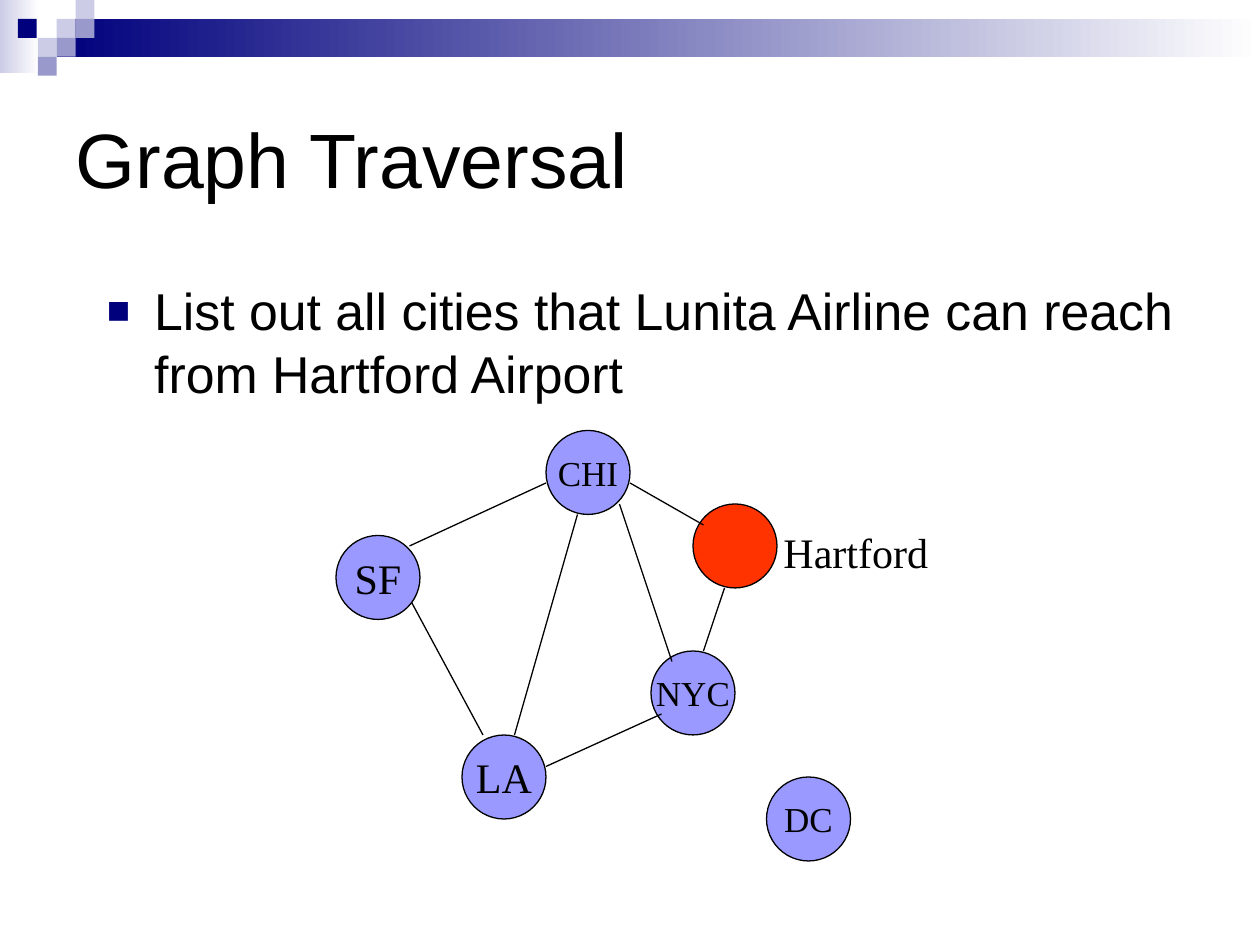
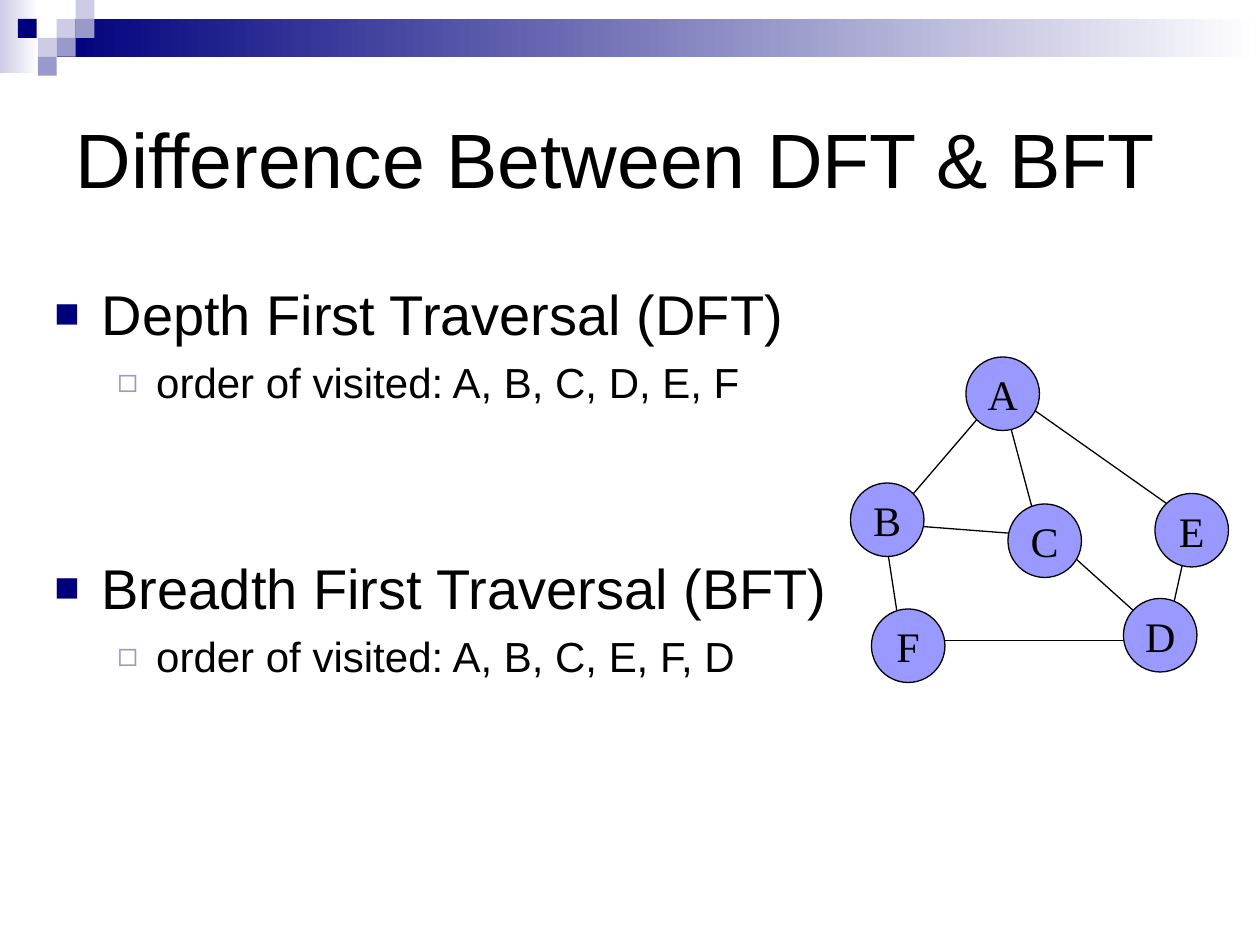
from dataclasses import dataclass

from lxml.etree import SubElement
from pptx import Presentation
from pptx.dml.color import RGBColor
from pptx.enum.shapes import MSO_CONNECTOR as Connector, MSO_SHAPE as Shape
from pptx.enum.text import MSO_ANCHOR as Anchor, MSO_AUTO_SIZE as AutoSize, PP_ALIGN as Align
from pptx.oxml.ns import qn
from pptx.util import Pt

PX = 7620


@dataclass(frozen=True)
class Theme:
    """Colours, fonts and type sizes shared by the slides."""

    ink: str = "000000"
    paper: str = "FFFFFF"
    navy: str = "00007D"
    slate: str = "9999CC"
    mist: str = "CCCCE6"
    node: str = "9999FF"
    start: str = "FF3300"
    sans: str = "Arial"
    serif: str = "Times New Roman"
    title: float = 44
    heading: float = 32
    statement: float = 29.6
    label: float = 24
    small_label: float = 20
    line: float = 0.75


@dataclass(frozen=True)
class Bullet:
    """Marker and indent of one outline level."""

    mark: str
    color: str
    percent: int
    margin: int
    hanging: int


THEME = Theme()
BULLETS = (
    Bullet("■", THEME.navy, 75, 45, 45),
    Bullet("◻", THEME.slate, 80, 97, 37),
)
BAND_SQUARES = (
    (54, 18, THEME.mist),
    (72, 0, THEME.mist),
    (72, 18, THEME.slate),
    (36, 36, THEME.mist),
    (17, 18, THEME.navy),
    (54, 36, THEME.slate),
    (36, 54, THEME.slate),
)


def emu(*lengths):
    """Turn px lengths into EMU."""
    return [length * PX for length in lengths]


def rgb(color):
    """Turn a hex string into a colour."""
    return RGBColor.from_string(color)


class Deck:
    """Draws styled elements on the current slide."""

    def __init__(self, theme):
        """Start an empty 4:3 presentation."""
        self.theme = theme
        self.presentation = Presentation()
        self.presentation.slide_width, self.presentation.slide_height = emu(1200, 900)
        self.slide = None

    def add_slide(self, title):
        """Add a slide with the band and a title."""
        self.slide = self.presentation.slides.add_slide(self.presentation.slide_layouts[5])
        self.band()
        shape = self.slide.shapes.title
        shape.left, shape.top, shape.width, shape.height = emu(60, 60, 1080, 180)
        frame = shape.text_frame
        frame.auto_size = AutoSize.NONE
        frame.vertical_anchor = Anchor.MIDDLE
        frame.text = title
        paragraph = frame.paragraphs[0]
        paragraph.alignment = Align.LEFT
        self.style(paragraph, self.theme.sans, self.theme.title)

    def style(self, paragraph, font_name, size):
        """Set the font of a paragraph."""
        font = paragraph.font
        font.name, font.size = font_name, Pt(size)
        font.color.rgb = rgb(self.theme.ink)

    def shape(self, kind, left, top, width, height, color=None):
        """Add a preset shape without shadow or outline."""
        shape = self.slide.shapes.add_shape(kind, *emu(left, top, width, height))
        shape.shadow.inherit = False
        shape.line.fill.background()
        if color:
            shape.fill.solid()
            shape.fill.fore_color.rgb = rgb(color)
        return shape

    def fade(self, left, top, width, height, color):
        """Add a rectangle that fades to the paper colour."""
        fill = self.shape(Shape.RECTANGLE, left, top, width, height).fill
        fill.gradient()
        fill.gradient_angle = 0
        for stop, stop_color in zip(fill.gradient_stops, (color, self.theme.paper)):
            stop.color.rgb = rgb(stop_color)

    def band(self):
        """Draw the band and its squares along the top."""
        self.fade(0, 0, 37, 70, self.theme.mist)
        self.fade(54, 18, 1146, 36, self.theme.navy)
        for left, top, color in BAND_SQUARES:
            self.shape(Shape.RECTANGLE, left, top, 18, 18, color)

    def outline(self, left, top, width, height, items):
        """Add bulleted text from (level, text, size, space before) items."""
        frame = self.slide.shapes.add_textbox(*emu(left, top, width, height)).text_frame
        frame.word_wrap = True
        for index, (level, text, size, space) in enumerate(items):
            paragraph = frame.add_paragraph() if index else frame.paragraphs[0]
            paragraph.text = text
            paragraph.level = level
            self.bullet(paragraph, BULLETS[level])
            if index:
                paragraph.space_before = Pt(space)
            self.style(paragraph, self.theme.sans, size)

    def bullet(self, paragraph, bullet):
        """Give a paragraph a marker and a hanging indent."""
        properties = paragraph._p.get_or_add_pPr()
        properties.set("marL", str(bullet.margin * PX))
        properties.set("indent", str(-bullet.hanging * PX))
        color = SubElement(properties, qn("a:buClr"))
        SubElement(color, qn("a:srgbClr"), val=bullet.color)
        SubElement(properties, qn("a:buSzPct"), val=str(bullet.percent * 1000))
        SubElement(properties, qn("a:buFont"), typeface=self.theme.sans)
        SubElement(properties, qn("a:buChar"), char=bullet.mark)

    def centred(self, shape, text, size):
        """Write an unwrapped label in the middle of a shape."""
        frame = shape.text_frame
        frame.word_wrap = False
        frame.vertical_anchor = Anchor.MIDDLE
        frame.text = text
        paragraph = frame.paragraphs[0]
        paragraph.alignment = Align.CENTER
        self.style(paragraph, self.theme.serif, size)

    def label(self, left, top, width, height, text):
        """Add a free label beside a node."""
        shape = self.slide.shapes.add_textbox(*emu(left, top, width, height))
        self.centred(shape, text, self.theme.label)

    def node(self, left, top, diameter, text="", size=THEME.label, color=THEME.node):
        """Add a graph node."""
        shape = self.shape(Shape.OVAL, left, top, diameter, diameter, color)
        shape.line.color.rgb = rgb(self.theme.ink)
        shape.line.width = Pt(self.theme.line)
        if text:
            self.centred(shape, text, size)

    def edges(self, *edges):
        """Add graph edges given as end points."""
        for edge in edges:
            line = self.slide.shapes.add_connector(Connector.STRAIGHT, *emu(*edge))
            line.line.color.rgb = rgb(self.theme.ink)
            line.line.width = Pt(self.theme.line)
            SubElement(line._element.spPr, qn("a:effectLst"))


def add_city_graph(deck):
    """Build the slide with the flight graph."""
    theme = deck.theme
    deck.add_slide("Graph Traversal")
    statement = "List out all cities that Lunita Airline can reach from Hartford Airport"
    deck.outline(90, 260, 1060, 140, [(0, statement, theme.statement, 0)])
    deck.edges((390, 570, 460, 700))
    for text, left, top, size in (
        ("CHI", 520, 410, theme.small_label),
        ("LA", 440, 700, theme.label),
        ("SF", 320, 510, theme.label),
        ("NYC", 620, 620, theme.small_label),
        ("DC", 730, 740, theme.small_label),
    ):
        deck.node(left, top, 80, text, size)
    deck.node(660, 480, 80, color=theme.start)
    deck.label(725, 490, 180, 70, "Hartford")
    deck.edges(
        (390, 520, 520, 460),
        (550, 490, 490, 700),
        (590, 480, 640, 630),
        (520, 730, 630, 680),
        (600, 460, 670, 500),
        (690, 560, 670, 620),
    )


def add_traversal_orders(deck):
    """Build the slide that compares the two traversals."""
    theme = deck.theme
    deck.add_slide("Difference Between DFT & BFT")
    deck.outline(40, 260, 1020, 540, [
        (0, "Depth First Traversal (DFT)", theme.heading, 0),
        (1, "order of visited: A, B, C, D, E, F", theme.label, 6),
        (0, "Breadth First Traversal (BFT)", theme.heading, 83.4),
        (1, "order of visited: A, B, C, E, F, D", theme.label, 6),
    ])
    deck.edges(
        (860, 500, 990, 510),
        (930, 400, 870, 470),
        (950, 360, 990, 510),
        (970, 380, 1140, 500),
        (840, 490, 860, 620),
        (1130, 520, 1110, 610),
        (1000, 510, 1100, 600),
        (880, 610, 1090, 610),
    )
    for text, left, top in (
        ("A", 920, 340),
        ("B", 810, 460),
        ("C", 960, 480),
        ("E", 1100, 470),
        ("F", 830, 580),
        ("D", 1070, 570),
    ):
        deck.node(left, top, 70, text)


def main():
    """Build and save the presentation."""
    deck = Deck(THEME)
    add_city_graph(deck)
    add_traversal_orders(deck)
    deck.presentation.save("out.pptx")


if __name__ == "__main__":
    main()
